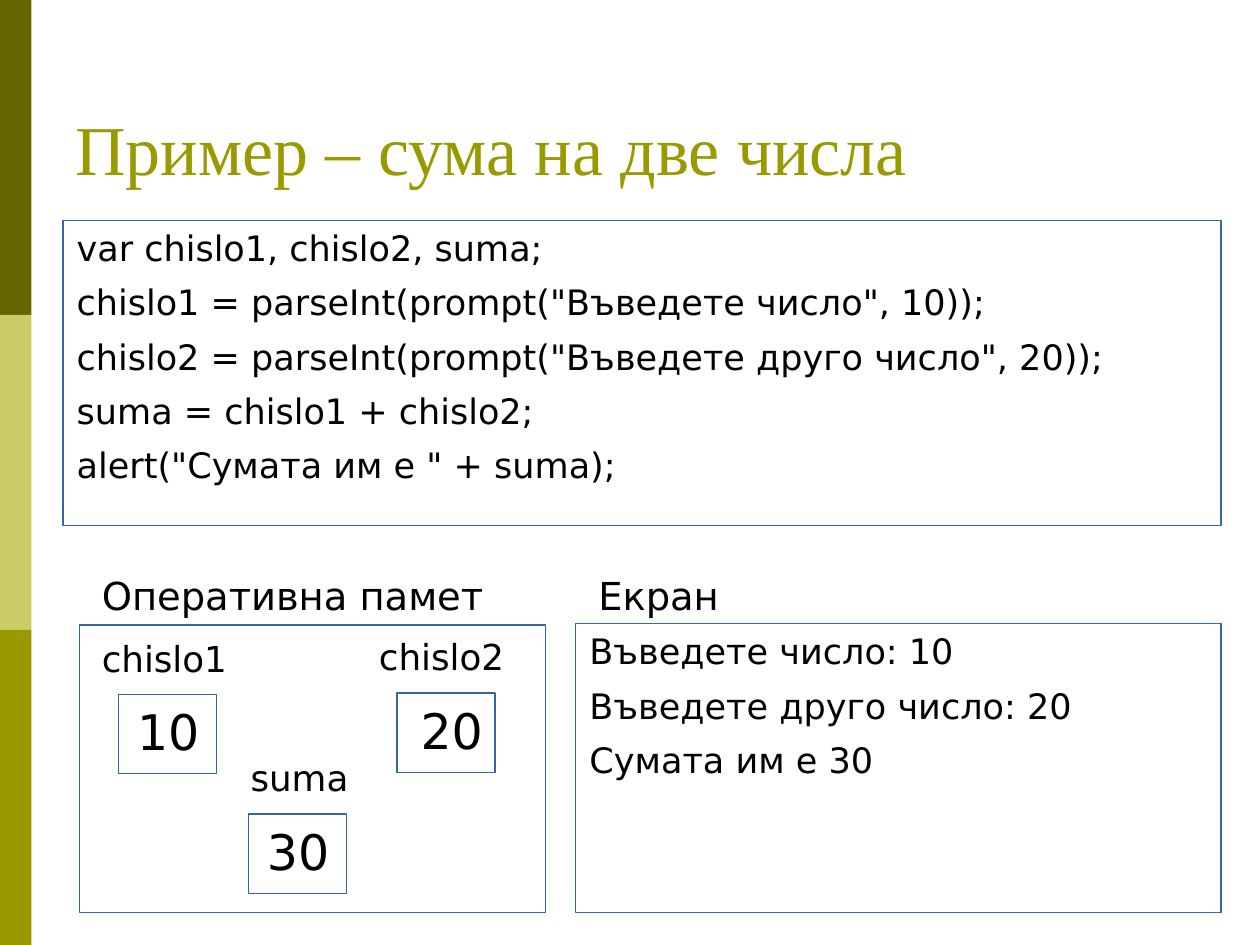
from pptx import Presentation
from pptx.dml.color import RGBColor
from pptx.enum.shapes import MSO_SHAPE
from pptx.enum.text import MSO_ANCHOR, PP_ALIGN
from pptx.util import Inches, Pt

SANS, SERIF = "DejaVu Sans", "Times New Roman"
BLACK, OLIVE, BLUE = "000000", "999900", "3465A4"

CODE = [
    "var chislo1, chislo2, suma;",
    'chislo1 = parseInt(prompt("Въведете число", 10));',
    'chislo2 = parseInt(prompt("Въведете друго число", 20));',
    "suma = chislo1 + chislo2;",
    'alert("Сумата им е " + suma);',
]
SCREEN = ["Въведете число: 10", "Въведете друго число: 20", "Сумата им е 30"]

# name, value, box left and top, label left and width, value left
VARIABLES = [
    ("chislo1", "10", 0.94, 5.51, 0.71, 1.34, 0.94),
    ("chislo2", "20", 3.15, 5.50, 2.91, 1.34, 3.19),
    ("suma", "30", 1.97, 6.46, 1.89, 1.10, 1.97),
]


def rgb(color):
    return RGBColor.from_string(color)


def write(shape, lines, size, font=SANS, color=BLACK, anchor=MSO_ANCHOR.TOP,
          hanging=False, **paragraph_format):
    tf = shape.text_frame
    tf.word_wrap = True
    tf.vertical_anchor = anchor
    for i, line in enumerate(lines):
        p = tf.paragraphs[0] if i == 0 else tf.add_paragraph()
        formats = {"alignment": PP_ALIGN.LEFT, **paragraph_format}
        if i:
            formats["space_before"] = Pt(7)
        for name, value in formats.items():
            setattr(p, name, value)
        if hanging:
            pPr = p._p.get_or_add_pPr()
            pPr.set("marL", str(Inches(0.38)))
            pPr.set("indent", str(Inches(-0.37)))
        r = p.add_run()
        r.text = line
        for name, value in {"name": font, "size": Pt(size)}.items():
            setattr(r.font, name, value)
        r.font.color.rgb = rgb(color)


def add_rect(shapes, x, y, w, h, fill=None, line=None):
    sp = shapes.add_shape(MSO_SHAPE.RECTANGLE, Inches(x), Inches(y), Inches(w), Inches(h))
    sp.shadow.inherit = False
    if fill:
        sp.fill.solid()
        sp.fill.fore_color.rgb = rgb(fill)
    else:
        sp.fill.background()
    if line:
        sp.line.color.rgb = rgb(line)
        sp.line.width = Pt(0.75)
    else:
        sp.line.fill.background()
    return sp


def add_text(shapes, x, y, w, h, text, size, **formats):
    tb = shapes.add_textbox(Inches(x), Inches(y), Inches(w), Inches(h))
    write(tb, [text], size, **formats)


def add_panel(shapes, x, y, w, h, lines):
    write(add_rect(shapes, x, y, w, h, line=BLUE), lines, 20, hanging=True)


def add_variable(shapes, name, x, y, label_x, label_w):
    group = shapes.add_group_shape().shapes
    add_rect(group, x, y, 0.78, 0.63, line=BLUE)
    add_text(group, label_x, y - 0.47, label_w, 0.46, name, 20.4, line_spacing=0.9)


def main():
    prs = Presentation()
    prs.slide_width, prs.slide_height = Inches(10), Inches(7.5)
    s = prs.slides.add_slide(prs.slide_layouts[6])
    shapes = s.shapes

    # Side stripe
    for i, color in enumerate(["666600", "CCCC66", OLIVE]):
        add_rect(shapes, 0, 2.5 * i, 0.25, 2.5, fill=color)

    # Title and code
    add_text(shapes, 0.5, -0.75, 9, 2.3, "Пример – сума на две числа", 40,
             font=SERIF, color=OLIVE, anchor=MSO_ANCHOR.BOTTOM)
    add_panel(shapes, 0.5, 1.75, 9.19, 2.42, CODE)

    # Memory and screen
    add_rect(shapes, 0.63, 4.96, 3.7, 2.28, line=BLUE)
    for x, heading in [(0.71, "Оперативна памет"), (4.65, "Екран")]:
        add_text(shapes, x, 4.49, 3.62, 0.47, heading, 22)
    for name, _, x, y, label_x, label_w, _ in VARIABLES:
        add_variable(shapes, name, x, y, label_x, label_w)
    add_panel(shapes, 4.57, 4.95, 5.12, 2.29, SCREEN)

    # Values in the memory cells
    for _, value, _, y, _, _, value_x in VARIABLES:
        add_text(shapes, value_x, y + 0.01, 0.79, 0.57, value, 28,
                 alignment=PP_ALIGN.CENTER)

    prs.save("out.pptx")


if __name__ == "__main__":
    main()
